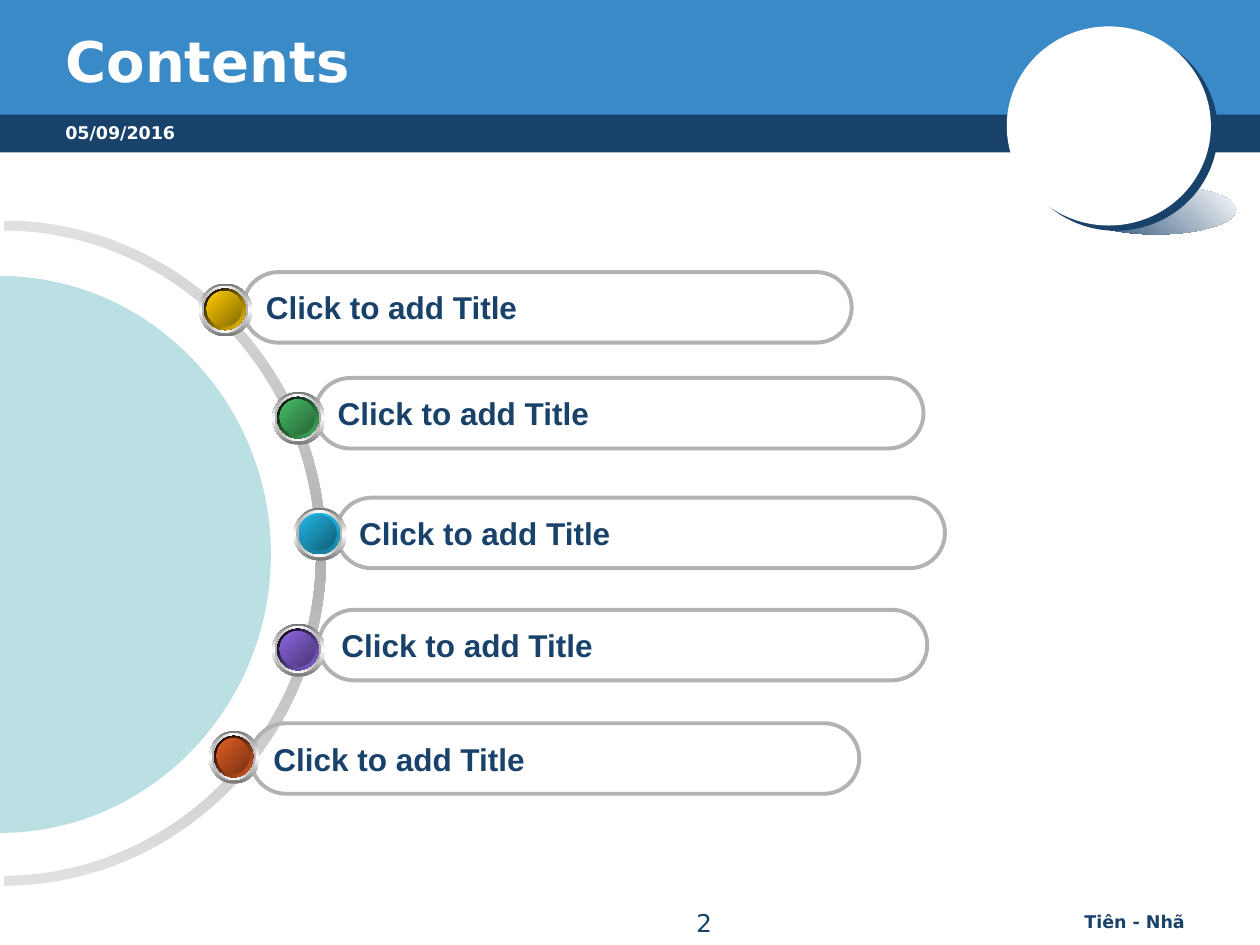
from lxml.etree import SubElement
from pptx import Presentation
from pptx.dml.color import RGBColor
from pptx.enum.shapes import MSO_SHAPE as Shape
from pptx.enum.text import MSO_ANCHOR as Anchor, PP_ALIGN as Align
from pptx.oxml.ns import qn
from pptx.util import Inches, Pt

NAVY, BLUE, WHITE = "19426B", "398AC7", "FFFFFF"
TEAL, GRAY = "BBE0E3", "B2B2B2"
HEADING_FONT, BODY_FONT = "DejaVu Sans", "Arial"
CURVE = 0.55  # handle length of a quarter ellipse

# text, pill left and top, button left, top and width, button colour,
# shaded colour, edge start, edge end, edge angle
ENTRIES = [
    ("Click to add Title", 1.93, 2.16, 1.58, 2.25, 0.42,
     "FFCC00", "866B00", "000000", "FFCC00", 45),
    ("Click to add Title", 2.5, 3, 2.16, 3.11, 0.42,
     "48BE67", "266436", "000000", "48BE67", 45),
    ("Click to add Title", 2.67, 3.95, 2.33, 4.03, 0.42,
     "21B3E1", "115E76", "21B3E1", "1880A1", 90),
    ("Click to add Title", 2.53, 4.84, 2.16, 4.95, 0.42,
     "8D67E1", "4A3676", "000000", "8D67E1", 45),
    ("Click to add Title", 1.99, 5.74, 1.66, 5.8, 0.4,
     "E35E23", "773213", "000000", "E35E23", 45),
]


def color(hex_value):
    return RGBColor.from_string(hex_value)


def set_gradient(shape, colors, angle):
    """Evenly spaced stops; the angle runs clockwise in degrees."""
    shape.fill.gradient()
    gradient = shape.element.spPr.find(qn("a:gradFill"))
    stops = gradient.find(qn("a:gsLst"))
    for stop in list(stops):
        stops.remove(stop)
    for index, hex_value in enumerate(colors):
        position = round(100000 * index / (len(colors) - 1))
        stop = SubElement(stops, qn("a:gs"), pos=str(position))
        SubElement(stop, qn("a:srgbClr"), val=hex_value)
    gradient.find(qn("a:lin")).set("ang", str(angle * 60000))


def style(shape, fill=None, angle=0, line=None):
    """Fill with one colour, a list of gradient colours, or nothing."""
    if fill is None:
        shape.fill.background()
    elif isinstance(fill, list):
        set_gradient(shape, fill, angle)
    else:
        shape.fill.solid()
        shape.fill.fore_color.rgb = color(fill)
    if line:
        shape.line.color.rgb = color(line)
        shape.line.width = Pt(2.25)
    else:
        shape.line.fill.background()
    shape.shadow.inherit = False
    return shape


def add_preset(shapes, preset, left, top, width, height, **look):
    shape = shapes.add_shape(preset, Inches(left), Inches(top),
                             Inches(width), Inches(height))
    return style(shape, **look)


def write(frame, text, size, font, hex_value, bold=True, align=Align.LEFT):
    paragraph = frame.paragraphs[0]
    paragraph.alignment = align
    run = paragraph.add_run()
    run.text = text
    run.font.size = Pt(size)
    run.font.name = font
    run.font.bold = bold
    run.font.color.rgb = color(hex_value)


def add_label(slide, text, left, top, width, height, size, hex_value, **look):
    label = slide.shapes.add_textbox(Inches(left), Inches(top),
                                     Inches(width), Inches(height))
    label.text_frame.word_wrap = True
    write(label.text_frame, text, size, HEADING_FONT, hex_value, **look)


def half_ellipse(left, middle, radius_x, radius_y):
    """Points and handles of a right-hand arc, from top to bottom."""
    steps = [(0, -1), (CURVE, -1), (1, -CURVE), (1, 0),
             (1, CURVE), (CURVE, 1), (0, 1)]
    return [(Inches(left + radius_x * x), Inches(middle + radius_y * y))
            for x, y in steps]


def add_curved(slide, *arcs, **look):
    """Join arcs by straight lines; each arc is two cubic curves."""
    points = sum(arcs, [])
    builder = slide.shapes.build_freeform(*points[0])
    builder.add_line_segments(points[1:], close=True)
    shape = builder.convert_to_shape()
    segments = list(shape.element.iter(qn("a:lnTo")))
    for arc in range(len(arcs)):
        for start in (7 * arc, 7 * arc + 3):
            curve = SubElement(segments[start].getparent(),
                               qn("a:cubicBezTo"))
            segments[start].addprevious(curve)
            for segment in segments[start:start + 3]:
                curve.append(segment[0])
                segment.getparent().remove(segment)
    return style(shape, **look)


def add_header(slide):
    add_preset(slide.shapes, Shape.RECTANGLE, 0, 0.87, 10, 0.34, fill=NAVY)
    add_preset(slide.shapes, Shape.RECTANGLE, 0, 0, 10, 0.91, fill=BLUE)

    # Round badge with its cast shadow
    badge = slide.shapes.add_group_shape().shapes
    add_preset(badge, Shape.OVAL, 8.54, 1.47, 1.27, 0.39,
               fill=[NAVY, WHITE], angle=315)
    disc = add_preset(badge, Shape.OVAL, 7.99, 0.21, 1.62, 1.58, fill=WHITE)
    effects = disc.element.spPr.find(qn("a:effectLst"))
    shadow = SubElement(effects, qn("a:outerShdw"), blurRad="0",
                        dist=str(Pt(5)), dir=str(37 * 60000),
                        algn="ctr", rotWithShape="0")
    SubElement(shadow, qn("a:srgbClr"), val=NAVY)
    add_preset(badge, Shape.OVAL, 8.53, 0.76, 0.57, 0.54, fill=WHITE)

    # Title in front of the bands
    title = slide.shapes.title
    slide.shapes.element.append(title.element)
    title.left, title.top = Inches(0.42), Inches(0.17)
    title.width, title.height = Inches(8.08), Inches(0.62)
    title.text_frame.vertical_anchor = Anchor.MIDDLE
    write(title.text_frame, "Contents", 32, HEADING_FONT, WHITE)
    add_label(slide, "05/09/2016", 0.42, 0.92, 6.5, 0.28, 10, WHITE)


def add_dome(slide):
    outer = half_ellipse(0.03, 4.39, 2.56, 2.64)
    inner = half_ellipse(0.03, 4.39, 2.48, 2.56)
    add_curved(slide, outer, inner[::-1],
               fill=["E0E0E0", GRAY, "E0E0E0"], angle=90)
    add_curved(slide, half_ellipse(0, 4.4, 2.15, 2.21), fill=TEAL)


def add_pill(slide, text, left, top):
    pill = add_preset(slide.shapes, Shape.ROUNDED_RECTANGLE,
                      left, top, 4.83, 0.56, line=GRAY)
    pill.adjustments[0] = 0.5
    pill.text_frame.vertical_anchor = Anchor.MIDDLE
    write(pill.text_frame, text, 18, BODY_FONT, NAVY)


def add_button(slide, left, top, width, face, shade, edge_start, edge_end,
               edge_angle):
    layers = [
        (0, 0, ["767676", WHITE, "767676"], 90),
        (0.02, 0.05, ["B0B0B0", WHITE, "B0B0B0"], 0),
        (0.04, 0.09, [edge_start, edge_end], edge_angle),
        (0.06, 0.14, [face, shade], 45),
    ]
    button = slide.shapes.add_group_shape().shapes
    for inset, shrink, colors, angle in layers:
        add_preset(button, Shape.OVAL, left + inset, top + inset,
                   width - shrink, 0.42 - shrink, fill=colors, angle=angle)


def main():
    deck = Presentation()
    deck.slide_width, deck.slide_height = Inches(10), Inches(7.5)
    slide = deck.slides.add_slide(deck.slide_layouts[5])

    add_header(slide)
    add_dome(slide)

    # Contents entries, pills behind buttons
    for text, left, top, *_ in reversed(ENTRIES):
        add_pill(slide, text, left, top)
    for _, _, _, *button in ENTRIES:
        add_button(slide, *button)

    # Footer
    add_label(slide, "2", 3.42, 7.16, 2.33, 0.26, 14, NAVY,
              bold=False, align=Align.RIGHT)
    add_label(slide, "Tiên - Nhã", 6.92, 7.18, 2.58, 0.27, 10, NAVY,
              align=Align.RIGHT)

    deck.save("out.pptx")


main()
